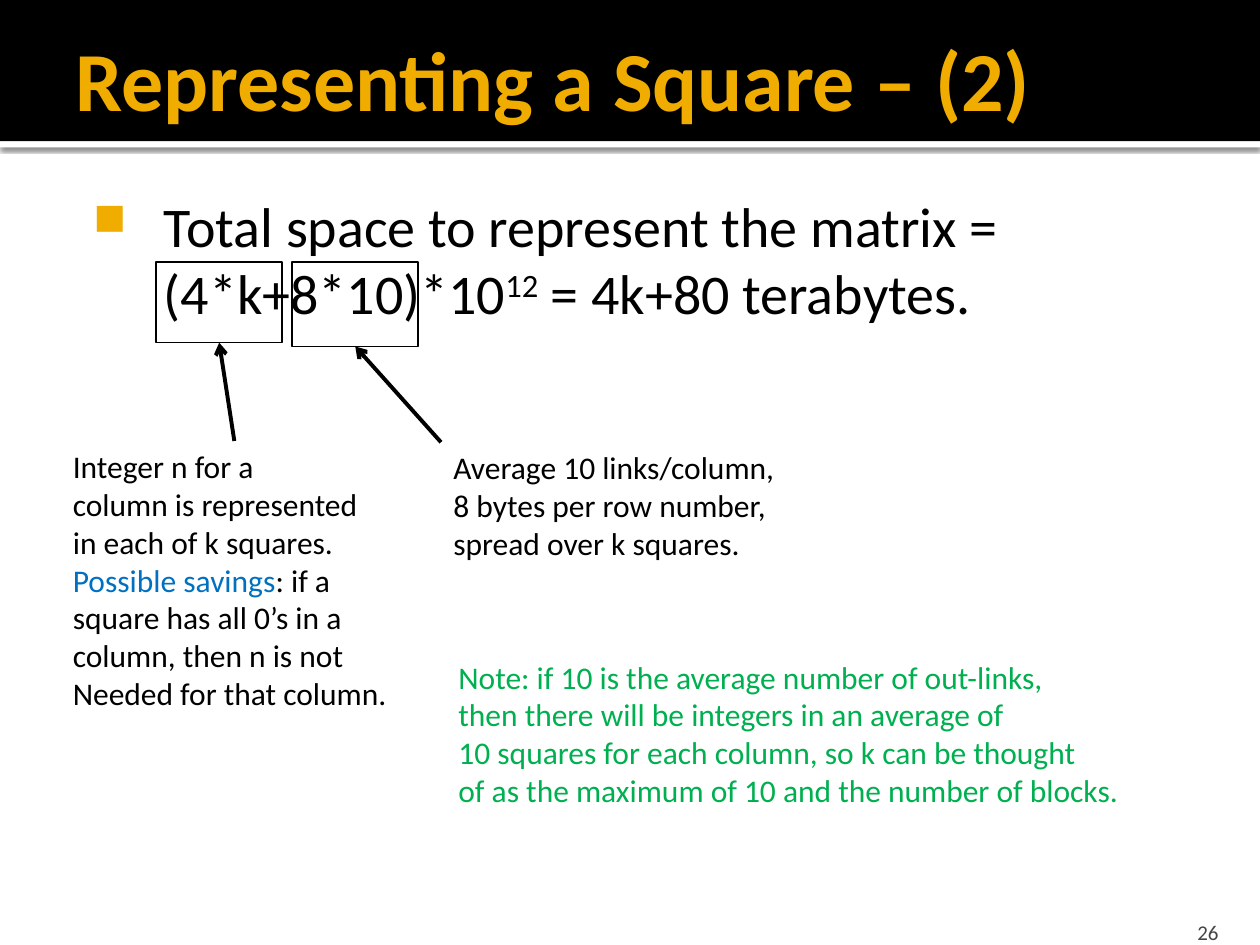
from dataclasses import dataclass

import lxml.etree
import pptx
import pptx.dml.color
import pptx.enum.shapes
import pptx.enum.text
import pptx.oxml
import pptx.oxml.ns
import pptx.util

# The slide is a grid of 100 columns and 75 rows; all places are in cells.
COLUMNS, ROWS = 100, 75
CELL = pptx.util.Inches(0.1)
ANCHOR = pptx.enum.text.MSO_ANCHOR
ALIGN = pptx.enum.text.PP_ALIGN


@dataclass(frozen=True)
class Theme:
    font: str = "Calibri"
    title_size: int = 48
    body_size: int = 32
    note_size: int = 18
    number_size: int = 12
    black: str = "000000"
    white: str = "FFFFFF"
    accent: str = "F0AD00"
    number: str = "454545"
    highlight: str = "0070C0"
    remark: str = "00B050"


THEME = Theme()


def cells(*values):
    return [round(value * CELL) for value in values]


def rgb(color):
    return pptx.dml.color.RGBColor.from_string(color)


def add_element(parent, tag, **attributes):
    element = lxml.etree.SubElement(parent, pptx.oxml.ns.qn(tag))
    for name, value in attributes.items():
        element.set(name, str(value))
    return element


def add_bullet(paragraph, character, color, percent, margin, hanging):
    properties = paragraph._p.get_or_add_pPr()
    left, indent = cells(margin, -hanging)
    properties.set("marL", str(left))
    properties.set("indent", str(indent))
    add_element(add_element(properties, "a:buClr"), "a:srgbClr", val=color)
    add_element(properties, "a:buSzPct", val=percent * 1000)
    add_element(properties, "a:buChar", char=character)


def add_text(slide, place, lines, *, size, color=THEME.black, bold=False, wrap=True,
             anchor=ANCHOR.TOP, align=ALIGN.LEFT, insets=(1, 0.5, 1, 0.5), bullet=None):
    """Each line is a string or a list of (text, format) runs."""
    frame = slide.shapes.add_textbox(*cells(*place)).text_frame
    frame.word_wrap = wrap
    frame.vertical_anchor = anchor
    (frame.margin_left, frame.margin_top,
     frame.margin_right, frame.margin_bottom) = cells(*insets)
    for index, line in enumerate(lines):
        paragraph = frame.add_paragraph() if index else frame.paragraphs[0]
        paragraph.alignment = align
        if bullet:
            add_bullet(paragraph, **bullet)
        for text, style in [(line, {})] if isinstance(line, str) else line:
            run = paragraph.add_run()
            run.text = text
            run.font.name = THEME.font
            run.font.size = pptx.util.Pt(size)
            run.font.bold = bold
            run.font.color.rgb = rgb(style.get("color", color))
            if "raised" in style:
                run._r.get_or_add_rPr().set("baseline", str(style["raised"] * 1000))


def add_rectangle(slide, place, fill=None, line=None):
    shape = slide.shapes.add_shape(
        pptx.enum.shapes.MSO_SHAPE.RECTANGLE, *cells(*place))
    shape.shadow.inherit = False
    if fill:
        shape.fill.solid()
        shape.fill.fore_color.rgb = rgb(fill)
    else:
        shape.fill.background()
    if line:
        shape.line.color.rgb = rgb(line)
        shape.line.width = pptx.util.Pt(1)
    else:
        shape.line.fill.background()
    return shape


def add_shadow(shape, color, opacity, blur, distance):
    """Cast a shadow straight down."""
    effects = shape._element.spPr.find(pptx.oxml.ns.qn("a:effectLst"))
    shadow = add_element(effects, "a:outerShdw", blurRad=pptx.util.Pt(blur),
                         dist=pptx.util.Pt(distance), dir=90 * 60000,
                         algn="t", rotWithShape=0)
    add_element(add_element(shadow, "a:srgbClr", val=color),
                "a:alpha", val=opacity * 1000)


def add_arrow(slide, start, end):
    connector = slide.shapes.add_connector(
        pptx.enum.shapes.MSO_CONNECTOR.STRAIGHT, *cells(*start, *end))
    connector.line.color.rgb = rgb(THEME.black)
    connector.line.width = pptx.util.Pt(2.25)
    add_element(connector.line._get_or_add_ln(), "a:tailEnd", type="arrow")
    add_element(connector._element.spPr, "a:effectLst")


def add_header(slide, title):
    band_height = 11.2
    strip = add_rectangle(slide, (0, band_height, COLUMNS, 0.5), fill=THEME.white)
    add_shadow(strip, THEME.black, opacity=60, blur=2.5, distance=0.8)
    add_rectangle(slide, (0, 0, COLUMNS, band_height), fill=THEME.black)
    add_text(slide, (5, 0.8, 95, 10.8), [title], size=THEME.title_size,
             color=THEME.accent, bold=True, anchor=ANCHOR.MIDDLE,
             insets=(1, 0.5, 0.5, 0.5))


def add_callout(slide, box, note, lines, arrow_start):
    """Frame a term of the formula and point to it from its explanation."""
    left, top, width, height = box
    add_rectangle(slide, box, line=THEME.black)
    add_text(slide, note, lines, size=THEME.note_size, wrap=False)
    add_arrow(slide, arrow_start, (left + width / 2, top + height))


def main():
    presentation = pptx.Presentation()
    presentation.slide_width = COLUMNS * CELL
    presentation.slide_height = ROWS * CELL
    slide = presentation.slides.add_slide(presentation.slide_layouts[6])

    add_header(slide, "Representing a Square – (2)")
    formula = [("Total space to represent the matrix = (4*k+8*10)*10", {}),
               ("12", {"raised": 30}), (" = 4k+80 terabytes.", {})]
    add_text(slide, (5, 14.2, 93.3, 60.8), [formula], size=THEME.body_size,
             insets=(0.6, 1, 1, 0.5),
             bullet=dict(character="■", color=THEME.accent, percent=80,
                         margin=7.4, hanging=5.6))
    add_text(slide, (89.7, 72, 8, 3), ["26"], size=THEME.number_size,
             color=THEME.number, anchor=ANCHOR.BOTTOM, align=ALIGN.RIGHT,
             insets=(1, 0.5, 1, 0))

    add_callout(slide, (12.4, 20.8, 10, 6.4), (4.8, 35, 27.6, 22.2), [
        "Integer n for a",
        "column is represented",
        "in each of k squares.",
        [("Possible savings", {"color": THEME.highlight}), (": if a", {})],
        "square has all 0’s in a",
        "column, then n is not",
        "Needed for that column.",
    ], arrow_start=(18.6, 35))
    add_callout(slide, (23.2, 20.8, 10, 6.7), (35, 35.1, 28, 10.1), [
        "Average 10 links/column,",
        "8 bytes per row number,",
        "spread over k squares.",
    ], arrow_start=(35, 35.1))
    add_text(slide, (35.4, 51.7, 55.7, 13.1), [
        "Note: if 10 is the average number of out-links,",
        "then there will be integers in an average of",
        "10 squares for each column, so k can be thought",
        "of as the maximum of 10 and the number of blocks.",
    ], size=THEME.note_size, color=THEME.remark, wrap=False)

    presentation.save("out.pptx")


if __name__ == "__main__":
    main()
